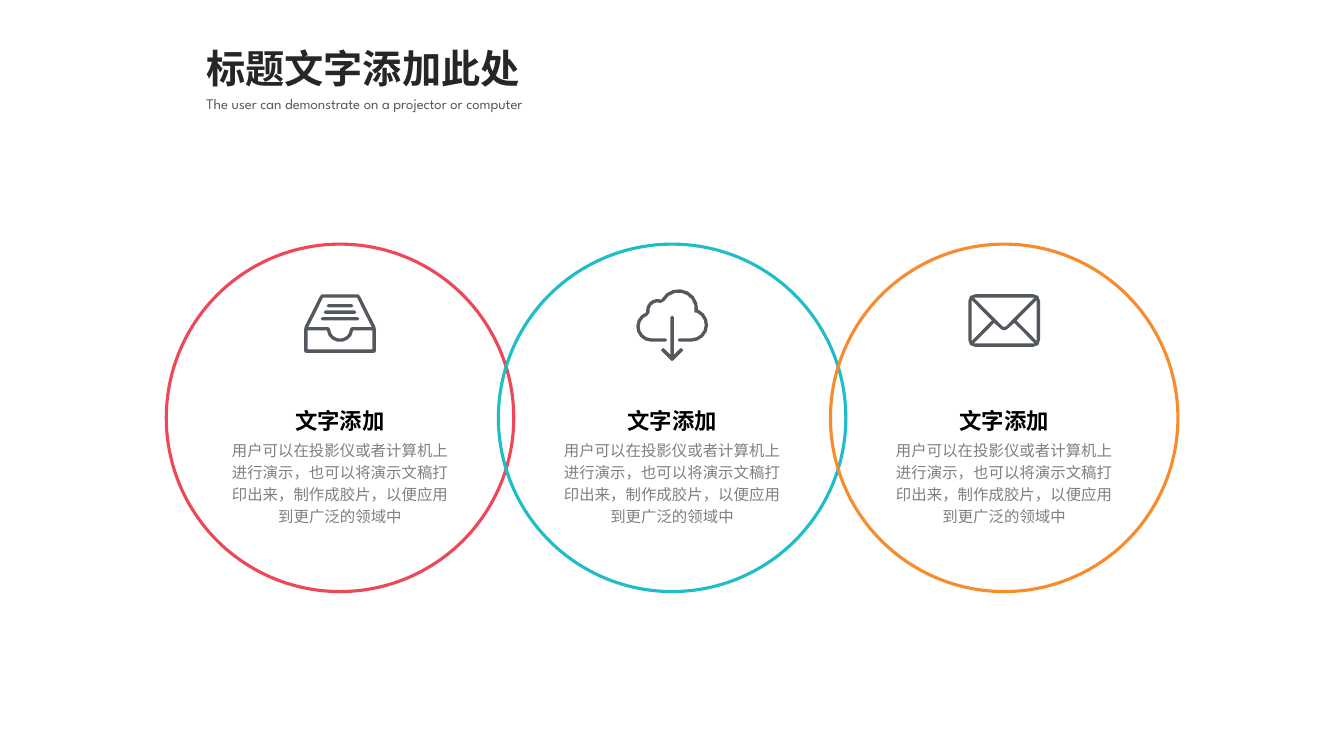
from math import ceil, cos, hypot, radians, sin

from pptx import Presentation
from pptx.dml.color import RGBColor
from pptx.enum.shapes import MSO_SHAPE as Preset
from pptx.enum.text import MSO_AUTO_SIZE as AutoSize, PP_ALIGN as Align
from pptx.util import Pt

RED = RGBColor(0xED, 0x48, 0x57)
TEAL = RGBColor(0x1F, 0xBD, 0xC8)
ORANGE = RGBColor(0xF6, 0x8C, 0x2D)
SLATE = RGBColor(0x53, 0x58, 0x5F)
INK = RGBColor(0x26, 0x26, 0x26)
BLACK = RGBColor(0x00, 0x00, 0x00)
DARK_GREY = RGBColor(0x59, 0x59, 0x59)
GREY = RGBColor(0x80, 0x80, 0x80)

TITLE = dict(size=Pt(28), name="Arial", bold=True)
SUBTITLE = dict(size=Pt(10.5), name="League Spartan")
HEADING = dict(size=Pt(16), name="Arial", bold=True)
BODY = dict(size=Pt(11), name="Arial")

HEADING_TEXT = "文字添加"
BODY_TEXT = "用户可以在投影仪或者计算机上进行演示，也可以将演示文稿打印出来，制作成胶片，以便应用到更广泛的领域中"

# Circle row and icon measures, in points
FIRST_CENTRE, PITCH = 242.9, 237.2
CIRCLE_TOP, DIAMETER = 174.4, 248.2
ICON_WIDTH, STROKE = 51.2, 2.4
CAP = STROKE / 2


# Outline helpers: every outline is a list of (x, y) points
def arc(cx, cy, radius, start, end, step=25):
    count = ceil(abs(end - start) / step)
    angles = [radians(start + (end - start) * i / count) for i in range(count + 1)]
    return [(cx + radius * cos(a), cy + radius * sin(a)) for a in angles]


def cap(cx, cy, start):
    """Half a circle that ends a stroke."""
    return arc(cx, cy, CAP, start, start + 180, 90)


def rounded(corners, radius):
    """Replace each corner of a polygon with a short bend."""
    outline = []
    for i, (x, y) in enumerate(corners):
        ends = []
        for nx, ny in (corners[i - 1], corners[(i + 1) % len(corners)]):
            share = radius / hypot(nx - x, ny - y)
            ends.append((x + (nx - x) * share, y + (ny - y) * share))
        (ax, ay), (bx, by) = ends
        bend = ((ax + 2 * x + bx) / 4, (ay + 2 * y + by) / 4)
        outline += [ends[0], bend, ends[1]]
    return outline


def bar(left, right, y):
    return cap(left + CAP, y, 90) + cap(right - CAP, y, -90)


# Icons: outlines relative to the icon's top left corner
def tray_icon():
    case = rounded([(12, 0), (39.2, 0), (51.2, 23.8), (51.2, 41.8),
                    (0, 41.8), (0, 23.8)], 1.4)
    lid = ([(13.4, 2.4), (37.8, 2.4), (48.2, 23.4), (34.2, 23.4)]
           + arc(25.6, 24.6, 7.1, 0, 180) + [(17, 23.4), (3, 23.4)])
    drawer = ([(2.4, 39.4), (2.4, 25.8), (16.2, 25.8)]
              + arc(25.6, 24.6, 9.5, 173, 7)
              + [(48.8, 25.8), (48.8, 39.4)])
    sheets = [bar(16.1, 35.1, 8.2), bar(13.9, 37.3, 12.8), bar(11.8, 39.4, 17.5)]
    return [case, lid, drawer, *sheets]


def cloud_icon():
    # Lobes: centre, outer radius, outer angles, inner angles
    lobes = [
        (10.8, 26.7, 10.8, (90, 250), (90, 250)),
        (15.2, 15.2, 8.2, (180, 289), (167, 292)),
        (30.2, 14, 14, (209, 365), (209, 373)),
        (39.3, 25.5, 12, (296, 450), (294, 450)),
    ]
    cloud = []
    for cx, cy, radius, (start, end), _ in lobes:
        cloud += arc(cx, cy, radius, start, end)
    cloud += cap(30.7, 36.3, 90)
    for cx, cy, radius, _, (start, end) in reversed(lobes):
        cloud += arc(cx, cy, radius - STROKE, end, start)
    cloud += cap(20.8, 36.3, -90)
    arrow = cap(25.6, 20, 180) + [
        (26.8, 46.8), (31.9, 41.9), (33.6, 43.6), (26.4, 50.9), (25.6, 51.2),
        (24.8, 50.9), (17.6, 43.6), (19.3, 41.9), (24.4, 46.8)]
    return [cloud, arrow]


def envelope_icon():
    cover = rounded([(0, 0), (51.2, 0), (51.2, 37.6), (0, 37.6)], 5)
    flap = [(3.8, 2.4), (47.4, 2.4), (27, 22.8), (25.6, 23.4), (24.2, 22.8)]
    left = [(2.4, 4.2), (16.8, 18.8), (2.4, 33.4)]
    right = [(ICON_WIDTH - x, y) for x, y in left]
    base = ([(3.8, 35.2), (18.4, 20.5)] + arc(25.6, 22.2, 3.5, 135, 45)
            + [(32.8, 20.5), (47.4, 35.2)])
    return [cover, flap, left, right, base]


# Slide elements
def add_icon(slide, outlines, centre, top):
    left = centre - ICON_WIDTH / 2
    builder = None
    for outline in outlines:
        first, *rest = [(Pt(left + x), Pt(top + y)) for x, y in outline]
        if builder is None:
            builder = slide.shapes.build_freeform(*first)
        else:
            builder.move_to(*first)
        builder.add_line_segments(rest)
    icon = builder.convert_to_shape()
    icon.shadow.inherit = False
    icon.fill.solid()
    icon.fill.fore_color.rgb = SLATE
    icon.line.fill.background()


def add_label(slide, box, text, style, color, wrap=True, **layout):
    label = slide.shapes.add_textbox(*map(Pt, box))
    frame = label.text_frame
    frame.word_wrap = wrap
    frame.auto_size = AutoSize.SHAPE_TO_FIT_TEXT
    paragraph = frame.paragraphs[0]
    for key, value in layout.items():
        setattr(paragraph, key, value)
    run = paragraph.add_run()
    run.text = text
    for key, value in style.items():
        setattr(run.font, key, value)
    run.font.color.rgb = color


def add_ring(slide, centre, color):
    ring = slide.shapes.add_shape(
        Preset.OVAL, Pt(centre - DIAMETER / 2), Pt(CIRCLE_TOP), Pt(DIAMETER), Pt(DIAMETER))
    ring.shadow.inherit = False
    ring.fill.background()
    ring.line.color.rgb = color
    ring.line.width = Pt(2.25)


def main():
    deck = Presentation()
    deck.slide_width, deck.slide_height = Pt(960), Pt(540)
    slide = deck.slides.add_slide(deck.slide_layouts[6])

    # Title block
    add_label(slide, (140.4, 64.4, 296.6, 20.2),
              "The user can demonstrate on a projector or computer", SUBTITLE, DARK_GREY)
    add_label(slide, (140.4, 28.1, 240.5, 41), "标题文字添加此处", TITLE, INK, wrap=False)

    # Three linked circles
    centred = dict(alignment=Align.CENTER, line_spacing=1.2)
    topics = [(RED, tray_icon(), 210.2), (TEAL, cloud_icon(), 206.6),
              (ORANGE, envelope_icon(), 210.2)]
    for i, (color, outlines, icon_top) in enumerate(topics):
        centre = FIRST_CENTRE + i * PITCH
        add_icon(slide, outlines, centre, icon_top)
        add_label(slide, (centre - 86, 308.6, 172, 71.3), BODY_TEXT, BODY, GREY, **centred)
        add_label(slide, (centre - 82, 283.7, 164, 30), HEADING_TEXT, HEADING, BLACK, **centred)
        add_ring(slide, centre, color)

    deck.save("out.pptx")


if __name__ == "__main__":
    main()
